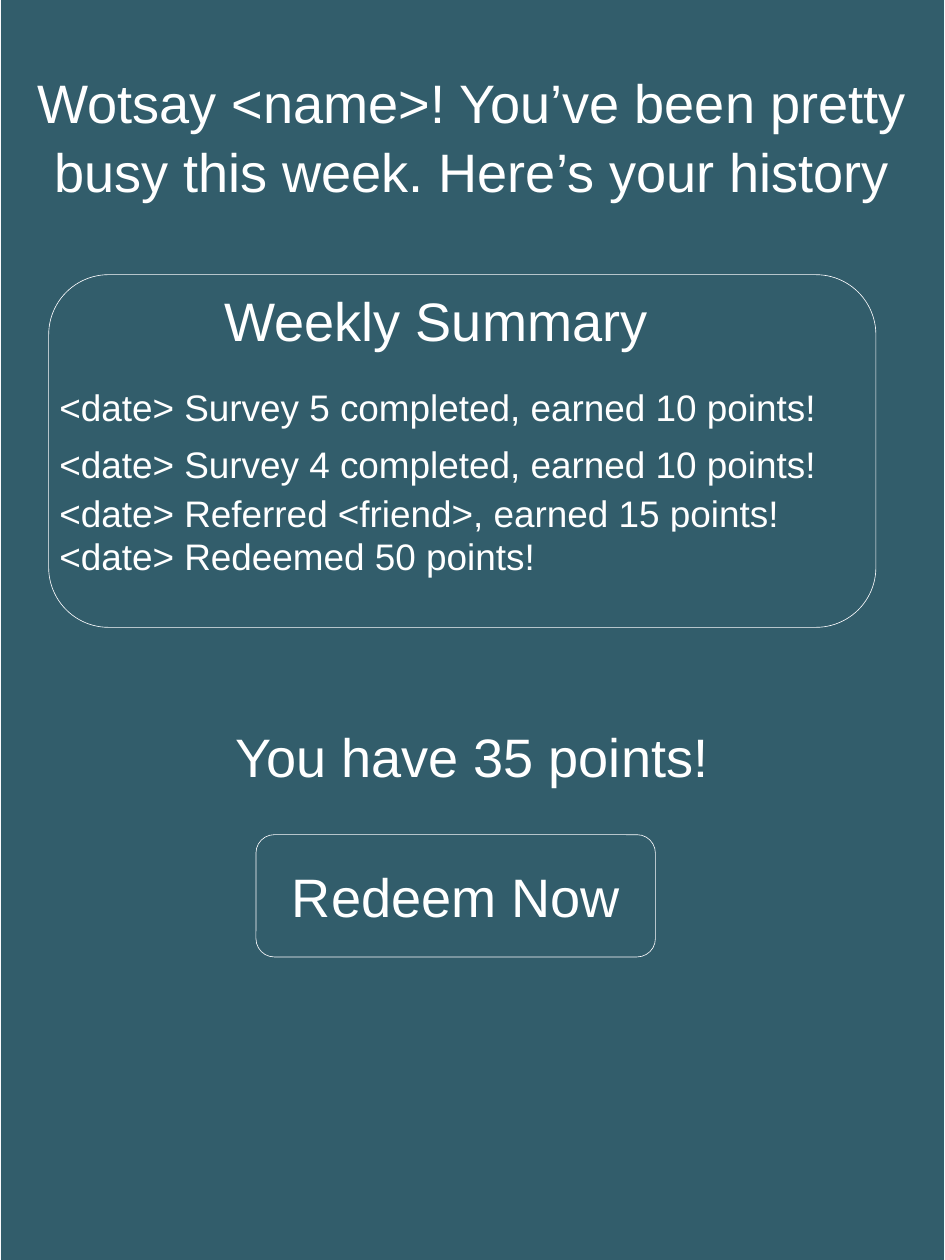
from pptx import Presentation
from pptx.dml.color import RGBColor
from pptx.enum.shapes import MSO_SHAPE as Shape
from pptx.enum.text import MSO_ANCHOR as Anchor, MSO_AUTO_SIZE as AutoSize, PP_ALIGN as Align
from pptx.util import Inches, Pt

TEAL = RGBColor(0x32, 0x5D, 0x6B)
WHITE = RGBColor(0xFF, 0xFF, 0xFF)
OUTLINE = RGBColor(0xFE, 0xFD, 0xFF)
EDGE = RGBColor(0xFB, 0xFA, 0xFC)


class PointsScreen:
    """Holds the style and the current slide."""

    font = "Arial"
    large, small = Pt(44), Pt(30)

    def __init__(self, slide):
        """Keep the slide that receives the elements."""
        self.slide = slide

    def set_text(self, shape, text, size, align, inset=0.0, anchor=Anchor.MIDDLE):
        """Put one formatted paragraph into a shape."""
        frame = shape.text_frame
        frame.text = text
        frame.word_wrap = True
        frame.auto_size = AutoSize.NONE
        frame.vertical_anchor = anchor
        frame.margin_left = frame.margin_right = Inches(inset)
        frame.margin_top = frame.margin_bottom = Inches(inset)
        paragraph = frame.paragraphs[0]
        paragraph.alignment = align
        paragraph.space_before = Pt(0)
        paragraph.font.name = self.font
        paragraph.font.size = size
        paragraph.font.color.rgb = WHITE

    def shape(self, kind, box, corner=None):
        """Add a preset shape without shadow."""
        shape = self.slide.shapes.add_shape(kind, *map(Inches, box))
        shape.shadow.inherit = False
        if corner is not None:
            shape.adjustments[0] = corner
        return shape

    def backdrop(self, text, box):
        """Fill the screen with the body placeholder and its greeting."""
        title = self.slide.shapes.title.element
        title.getparent().remove(title)
        body = self.slide.placeholders[1]
        body.left, body.top, body.width, body.height = map(Inches, box)
        body.fill.solid()
        body.fill.fore_color.rgb = TEAL
        body.line.color.rgb = EDGE
        body.line.width = Pt(0.25)
        self.set_text(body, text, self.large, Align.CENTER, anchor=Anchor.TOP)
        body.text_frame.margin_top = Inches(0.76)
        body.text_frame.paragraphs[0].line_spacing = 1.05

    def fill_teal(self, shape):
        """Give a shape the screen colour and no line."""
        shape.fill.solid()
        shape.fill.fore_color.rgb = TEAL
        shape.line.fill.background()

    def label(self, text, box, corner=0.15):
        """Add a large centred label."""
        label = self.shape(Shape.ROUNDED_RECTANGLE, box, corner)
        self.fill_teal(label)
        self.set_text(label, text, self.large, Align.CENTER, inset=0.03)

    def entry(self, text, top):
        """Add one line of the weekly history."""
        entry = self.shape(Shape.RECTANGLE, (0.67, top, 8.94, 0.55))
        self.fill_teal(entry)
        self.set_text(entry, text, self.small, Align.LEFT)

    def frame(self, box, corner):
        """Add a thin rounded outline."""
        frame = self.shape(Shape.ROUNDED_RECTANGLE, box, corner)
        frame.fill.background()
        frame.line.color.rgb = OUTLINE
        frame.line.width = Pt(0.5)


HISTORY = [
    ("Survey 5 completed, earned 10 points!", 4.32),
    ("Survey 4 completed, earned 10 points!", 4.96),
    ("Referred <friend>, earned 15 points!", 5.51),
    ("Redeemed 50 points!", 6.0),
]

presentation = Presentation()
presentation.slide_width = Inches(10.67)
presentation.slide_height = Inches(14.22)
section_layout = presentation.slide_layouts[2]
screen = PointsScreen(presentation.slides.add_slide(section_layout))

screen.backdrop(
    "Wotsay <name>! You’ve been pretty busy this week. Here’s your history",
    (0, -0.01, 10.66, 14.24),
)
screen.label("Redeem Now", (2.95, 9.42, 4.4, 1.39))
screen.frame((2.89, 9.42, 4.51, 1.38), 0.15)
screen.frame((0.55, 3.1, 9.34, 3.98), 0.17)
screen.label("Weekly Summary", (2.13, 3.17, 5.59, 0.87), 0.24)
for event, top in HISTORY:
    screen.entry(f"<date> {event}", top)
screen.label("You have 35 points!", (0.86, 7.83, 8.94, 1.39))

presentation.save("out.pptx")
